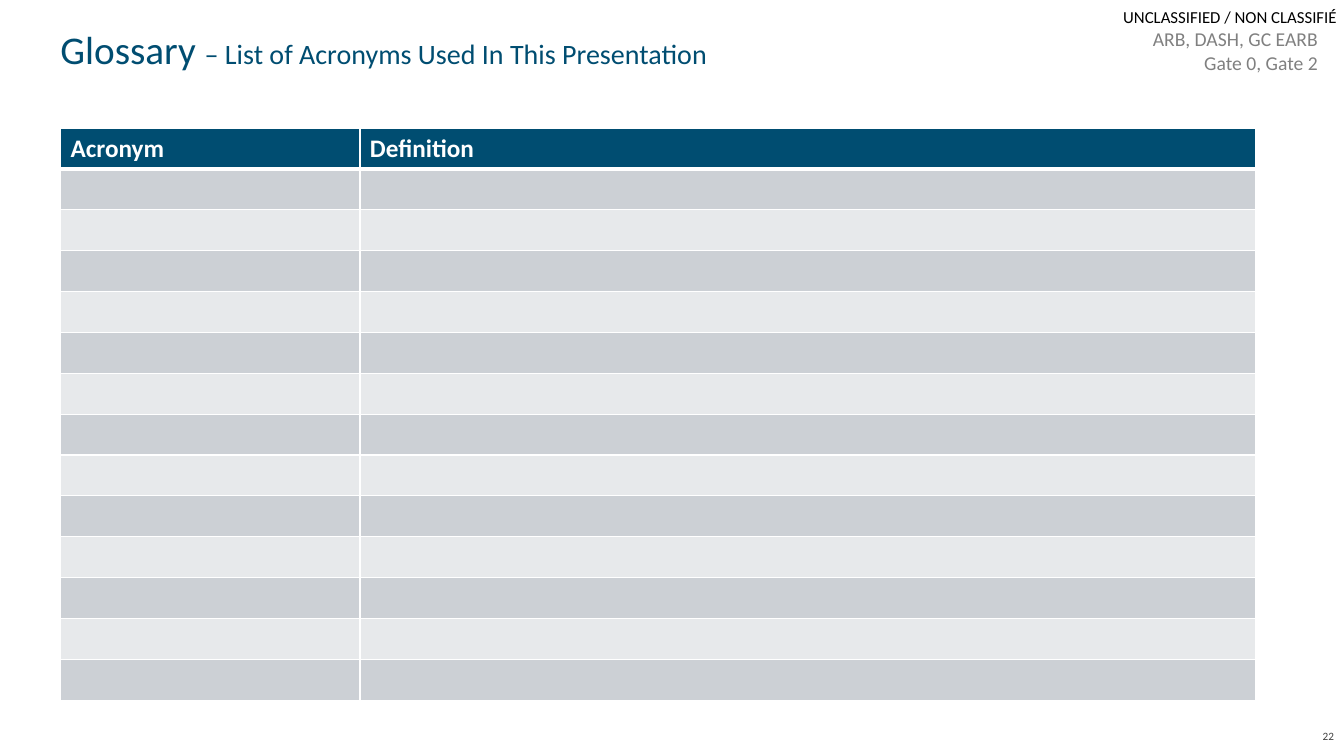
import dataclasses

import pptx
import pptx.dml.color
import pptx.enum.text
import pptx.oxml
import pptx.oxml.ns
import pptx.util

Inches = pptx.util.Inches
Align = pptx.enum.text.PP_ALIGN
Anchor = pptx.enum.text.MSO_ANCHOR
Fit = pptx.enum.text.MSO_AUTO_SIZE

COLORS = {
    "navy": "004D71", "white": "FFFFFF", "black": "000000",
    "dark": "404040", "gray": "808080", "band": "CCD0D5", "pale": "E7E9EB",
}
FONT = "Calibri"
HEADS = ("Acronym", "Definition")
WIDTHS = (2.97, 8.88)
ROWS = 14
HEIGHT = 5.68


@dataclasses.dataclass
class Label:
    lines: tuple[str, ...]
    left: float
    top: float
    width: float
    height: float
    size: int
    color: str
    align: Align = Align.RIGHT
    anchor: Anchor = Anchor.TOP
    inset: bool = True
    wrap: bool = True


LABELS = (
    Label(("UNCLASSIFIED / NON CLASSIFIÉ",), 11.14, 0.07, 2.16, 0.2, 12, "black",
          align=Align.LEFT, inset=False, wrap=False),
    Label(("22",), 12.77, 7.1, 0.56, 0.4, 8, "dark", anchor=Anchor.MIDDLE),
    Label(("ARB, DASH, GC EARB", "Gate 0, Gate 2"), 11.28, 0.22, 1.89, 0.57, 14, "gray"),
)


def paint(name: str) -> pptx.dml.color.RGBColor:
    return pptx.dml.color.RGBColor.from_string(COLORS[name])


def style(font, size: int, color: str, bold: bool = False) -> None:
    font.name = FONT
    font.size = pptx.util.Pt(size)
    font.bold = bold
    font.color.rgb = paint(color)


def clear_inset(frame) -> None:
    frame.margin_left = frame.margin_right = 0
    frame.margin_top = frame.margin_bottom = 0


def add_label(slide, label: Label) -> None:
    box = slide.shapes.add_textbox(Inches(label.left), Inches(label.top),
                                   Inches(label.width), Inches(label.height))
    frame = box.text_frame
    frame.word_wrap = label.wrap
    frame.vertical_anchor = label.anchor
    if not label.inset:
        clear_inset(frame)
    frame.text = "\n".join(label.lines)
    for line in frame.paragraphs:
        line.alignment = label.align
        style(line.font, label.size, label.color)


def set_title(slide) -> None:
    title = slide.shapes.title
    title.left, title.top = Inches(0.6), Inches(0.13)
    title.width, title.height = Inches(8.86), Inches(0.7)
    frame = title.text_frame
    clear_inset(frame)
    frame.word_wrap = True
    frame.auto_size = Fit.NONE
    frame.vertical_anchor = Anchor.MIDDLE
    line = frame.paragraphs[0]
    line.alignment = Align.LEFT
    style(line.font, 28, "navy")
    line.add_run().text = "Glossary "
    tail = line.add_run()
    tail.text = "– List of Acronyms Used In This Presentation"
    tail.font.size = pptx.util.Pt(20)


def add_edge(cell, side: str, width: float) -> None:
    """Draw a white border on one side (L, R, T or B), before the cell is filled."""
    edge = pptx.oxml.parse_xml(
        f'<a:ln{side} {pptx.oxml.ns.nsdecls("a")} w="{pptx.util.Pt(width)}">'
        f'<a:solidFill><a:srgbClr val="{COLORS["white"]}"/></a:solidFill></a:ln{side}>')
    cell._tc.get_or_add_tcPr().append(edge)


def add_grid(slide) -> None:
    grid = slide.shapes.add_table(ROWS, len(HEADS), Inches(0.6), Inches(1.27),
                                  Inches(sum(WIDTHS)), Inches(HEIGHT)).table
    for column, width in zip(grid.columns, WIDTHS):
        column.width = Inches(width)
    for index, row in enumerate(grid.rows):
        row.height = Inches(HEIGHT / ROWS)
        shade = "navy" if index == 0 else "band" if index % 2 else "pale"
        for cell in row.cells:
            for side in "LRTB":
                thick = (index, side) in ((0, "B"), (1, "T"))
                add_edge(cell, side, 3 if thick else 1)
            cell.fill.solid()
            cell.fill.fore_color.rgb = paint(shade)
    for cell, head in zip(grid.rows[0].cells, HEADS):
        cell.text = head
        style(cell.text_frame.paragraphs[0].font, 18, "white", bold=True)


def main() -> None:
    deck = pptx.Presentation()
    deck.slide_width, deck.slide_height = Inches(13.33), Inches(7.5)
    slide = deck.slides.add_slide(deck.slide_layouts[5])
    set_title(slide)
    add_grid(slide)
    for label in LABELS:
        add_label(slide, label)
    deck.save("out.pptx")


if __name__ == "__main__":
    main()
